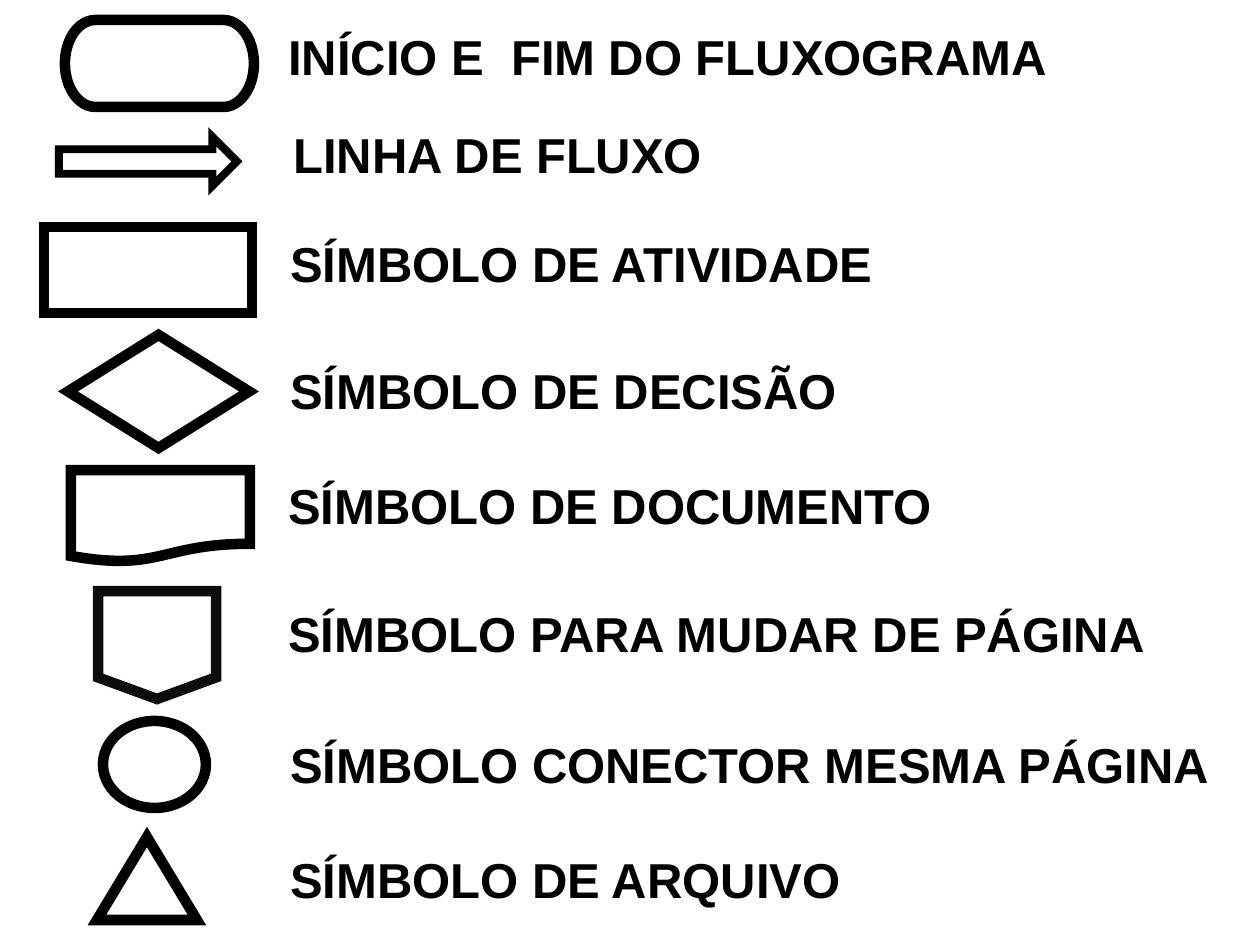
from lxml import etree
from pptx import Presentation
from pptx.dml.color import RGBColor
from pptx.enum.shapes import MSO_SHAPE
from pptx.enum.text import MSO_ANCHOR, MSO_AUTO_SIZE, PP_ALIGN
from pptx.oxml.ns import qn
from pptx.util import Emu, Pt

TERMINATOR = MSO_SHAPE.FLOWCHART_TERMINATOR
ARROW = MSO_SHAPE.RIGHT_ARROW
PROCESS = MSO_SHAPE.FLOWCHART_PROCESS
DECISION = MSO_SHAPE.FLOWCHART_DECISION
DOCUMENT = MSO_SHAPE.FLOWCHART_DOCUMENT
OFFPAGE = MSO_SHAPE.FLOWCHART_OFFPAGE_CONNECTOR
CONNECTOR = MSO_SHAPE.FLOWCHART_CONNECTOR
EXTRACT = MSO_SHAPE.FLOWCHART_EXTRACT
TOP = MSO_ANCHOR.TOP
LEFT = PP_ALIGN.LEFT
FIT_SHAPE = MSO_AUTO_SIZE.SHAPE_TO_FIT_TEXT

PX_PER_INCH = 126
EMU_PER_INCH = 914400
BLANK_LAYOUT = 6
LABEL_HEIGHT = 72
BLACK = "000000"
WHITE = "FFFFFF"

LEGEND = [
    (TERMINATOR, (65, 20, 189, 87), 6, BLACK, "INÍCIO E  FIM DO FLUXOGRAMA", (276, 20, 945)),
    (ARROW, (59, 137, 178, 49), 4.5, BLACK, "LINHA DE FLUXO", (281, 118, 939)),
    (PROCESS, (44, 227, 208, 86), 6, BLACK, "SÍMBOLO DE ATIVIDADE", (278, 227, 942)),
    (DECISION, (68, 335, 181, 113), 6, BLACK, "SÍMBOLO DE DECISÃO", (278, 354, 942)),
    (DOCUMENT, (71, 470, 179, 92), 6, BLACK, "SÍMBOLO DE DOCUMENTO", (276, 469, 945)),
    (OFFPAGE, (98, 591, 118, 108), 6, "0D0D0D", "SÍMBOLO PARA MUDAR DE PÁGINA", (276, 597, 945)),
    (CONNECTOR, (103, 721, 103, 87), 6, BLACK, "SÍMBOLO CONECTOR MESMA PÁGINA", (278, 728, 951)),
    (EXTRACT, (97, 837, 100, 83), 6, BLACK, "SÍMBOLO DE ARQUIVO", (278, 843, 942)),
]


def px(length):
    return Emu(round(length * EMU_PER_INCH / PX_PER_INCH))


def color(code):
    return RGBColor.from_string(code)


def add_symbol(page, kind, place, line_width, line_color):
    symbol = page.shapes.add_shape(kind, *map(px, place))
    symbol.shadow.inherit = False
    symbol.fill.background()
    symbol.line.color.rgb = color(line_color)
    symbol.line.width = Pt(line_width)
    outline = symbol.element.spPr.find(qn("a:ln"))
    etree.SubElement(outline, qn("a:miter"), lim="800000")


def add_label(page, text, left, top, width):
    box = page.shapes.add_textbox(px(left), px(top), px(width), px(LABEL_HEIGHT))
    box.fill.solid()
    box.fill.fore_color.rgb = color(WHITE)
    frame = box.text_frame
    frame.word_wrap = True
    frame.auto_size = FIT_SHAPE
    frame.vertical_anchor = TOP
    para = frame.paragraphs[0]
    para.alignment = LEFT
    span = para.add_run()
    span.text = text
    span.font.name = "Arial"
    span.font.size = Pt(28)
    span.font.bold = True
    span.font.color.rgb = color(BLACK)


def main():
    deck = Presentation()
    deck.slide_width = px(1260)
    deck.slide_height = px(945)
    page = deck.slides.add_slide(deck.slide_layouts[BLANK_LAYOUT])
    page.background.fill.solid()
    page.background.fill.fore_color.rgb = color(WHITE)
    for kind, place, line_width, line_color, text, label_place in LEGEND:
        add_symbol(page, kind, place, line_width, line_color)
        add_label(page, text, *label_place)
    deck.save("out.pptx")


if __name__ == "__main__":
    main()
